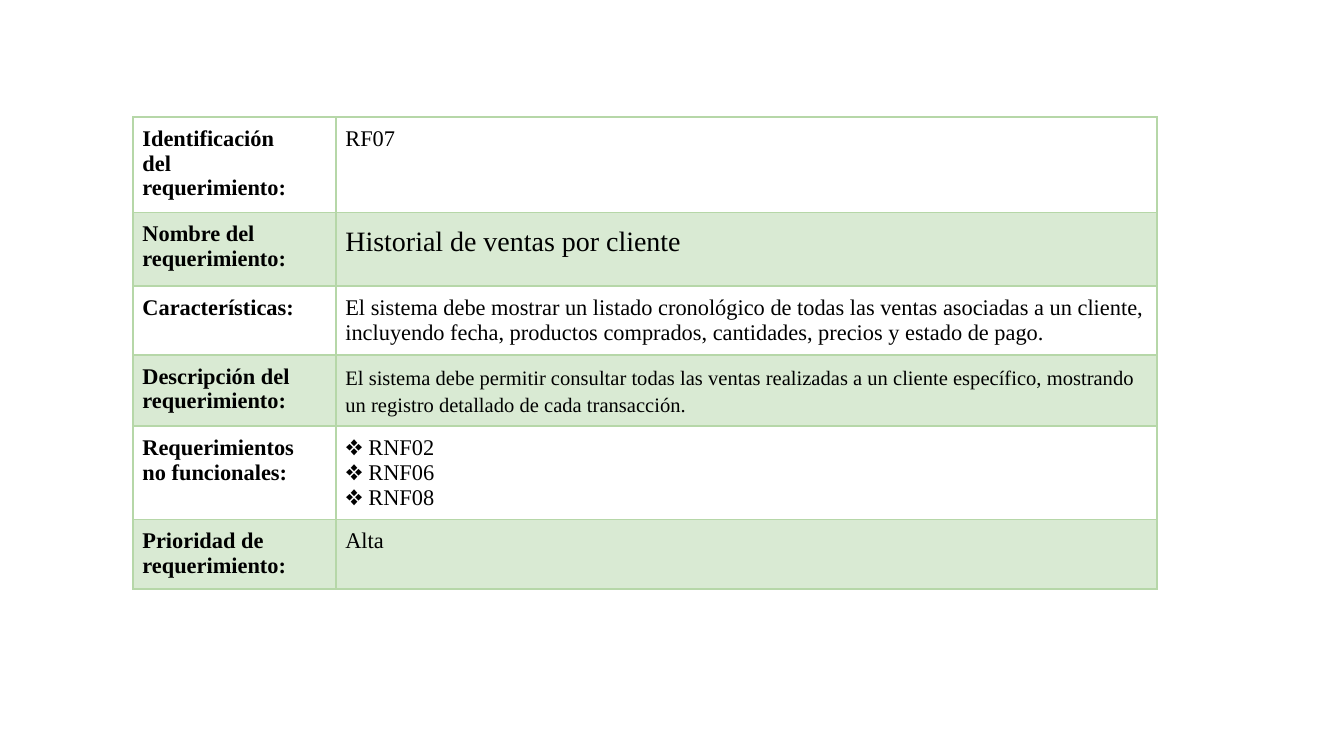
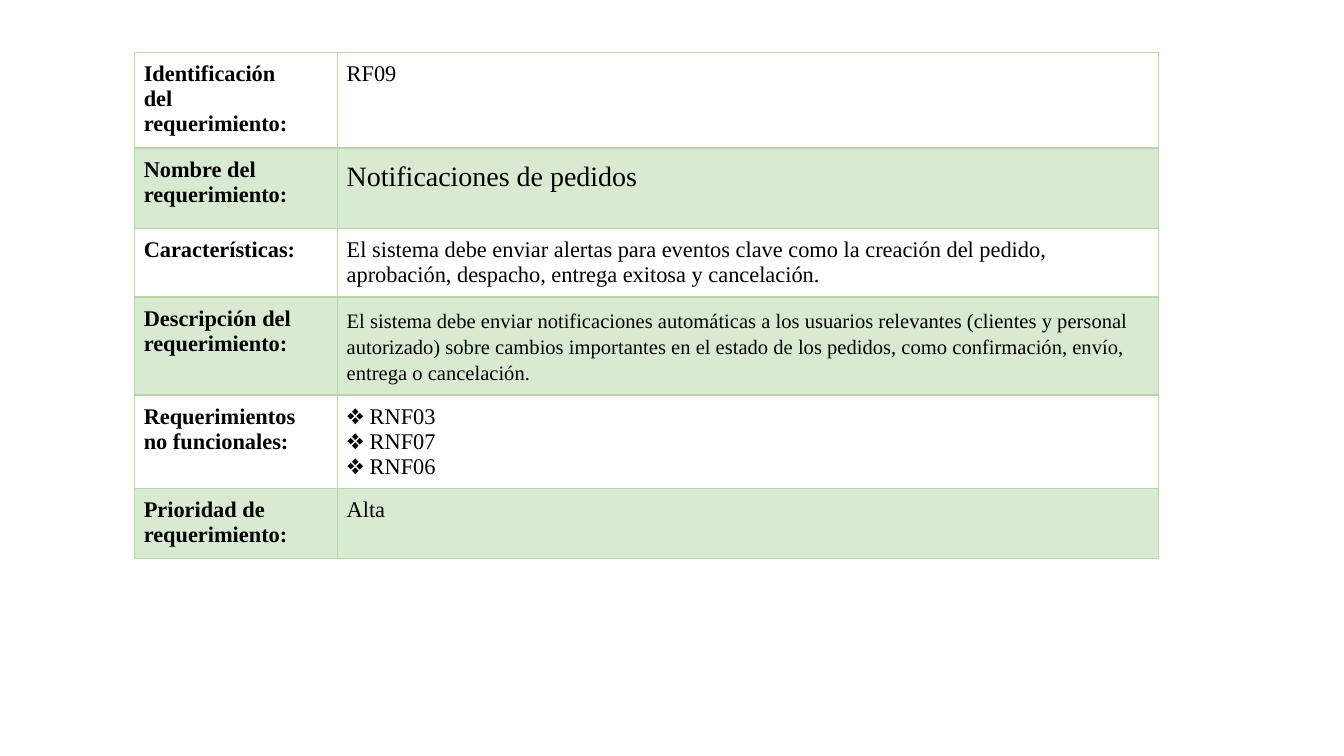
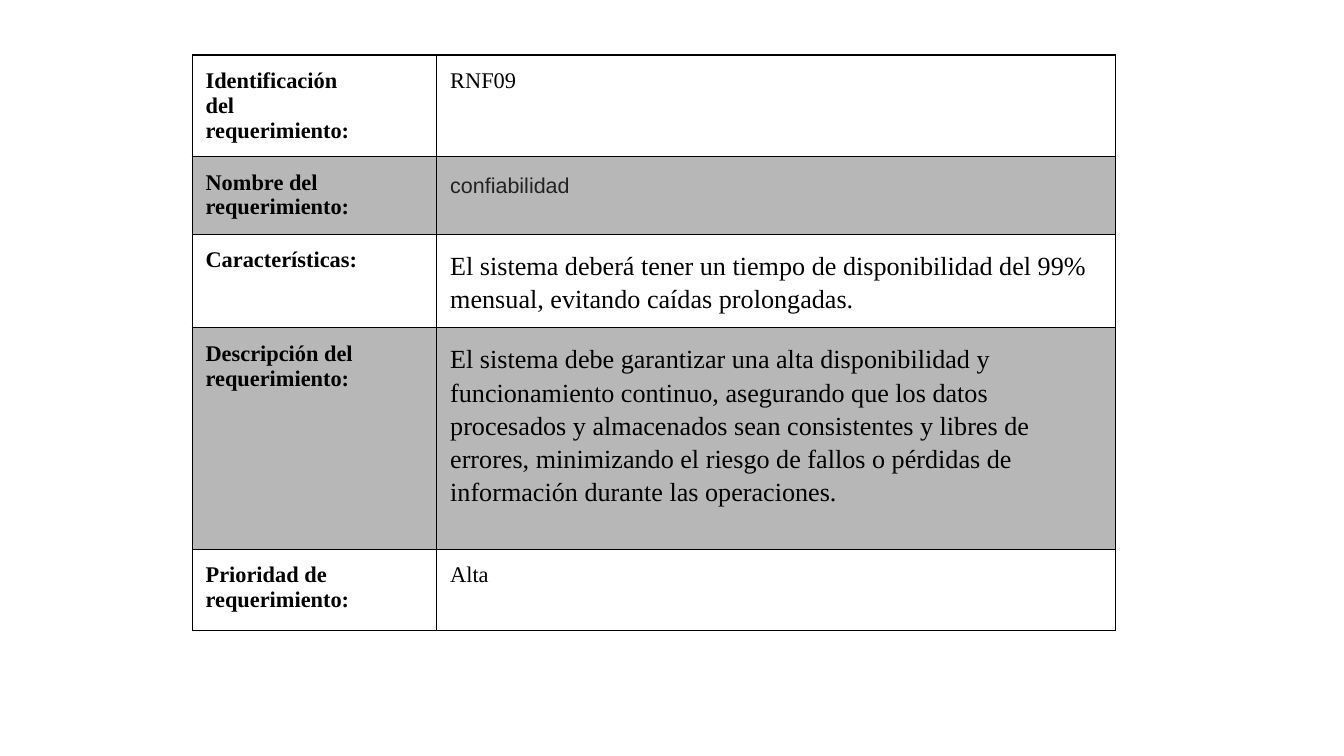
from dataclasses import dataclass

from lxml.etree import SubElement
from pptx import Presentation
from pptx.dml.color import RGBColor
from pptx.oxml.ns import qn
from pptx.util import Inches, Pt

WIDE, HIGH = Inches(10), Inches(5.625)
UNIT = WIDE / 100


@dataclass(frozen=True)
class Theme:
    serif: str = "Times New Roman"
    sans: str = "Arial"
    ink: str = "000000"
    soft: str = "222222"
    green: str = "D9EAD3"
    leaf: str = "B6D7A8"
    gray: str = "B7B7B7"
    base: float = 12
    small: float = 11
    name: float = 15
    large: float = 14
    note: float = 11.5
    loose: float = 1.15


@dataclass(frozen=True)
class Style:
    band: str
    edge: str
    line: float
    pad: float
    cols: tuple


THEME = Theme()
LEAFY = Style(THEME.green, THEME.leaf, 1, 0.7, (15.1, 61.1))
PLAIN = Style(THEME.gray, THEME.ink, 0.75, 1, (18.2, 50.5))

CODE = "Identificación\ndel\nrequerimiento:"
NAME = "Nombre del\nrequerimiento:"
TRAITS = "Características:"
ABOUT = "Descripción del\nrequerimiento:"
NEEDS = "Requerimientos\nno funcionales:"
RANK = "Prioridad de\nrequerimiento:"


def span(size):
    return round(size * UNIT)


def write(cell, text, size=THEME.base, face=THEME.serif, ink=THEME.ink,
          bold=False, lead=None):
    cell.text = text
    for para in cell.text_frame.paragraphs:
        para.line_spacing = lead
        for run in para.runs:
            font = run.font
            font.size, font.name, font.bold = Pt(size), face, bold
            font.color.rgb = RGBColor.from_string(ink)


def frame(cell, style):
    props = cell._tc.get_or_add_tcPr()
    for side in ("lnL", "lnR", "lnT", "lnB"):
        line = SubElement(props, qn(f"a:{side}"), w=str(Pt(style.line)))
        fill = SubElement(line, qn("a:solidFill"))
        SubElement(fill, qn("a:srgbClr"), val=style.edge)


def paint(cell, style, band):
    frame(cell, style)
    if band:
        cell.fill.solid()
        cell.fill.fore_color.rgb = RGBColor.from_string(style.band)
    else:
        cell.fill.background()
    pad = span(style.pad)
    cell.margin_left = cell.margin_right = pad
    cell.margin_top = cell.margin_bottom = pad


def sheet(deck, left, top, style, rows):
    slide = deck.slides.add_slide(deck.slide_layouts[6])
    wide, high = sum(style.cols), sum(row[0] for row in rows)
    table = slide.shapes.add_table(
        len(rows), len(style.cols), span(left), span(top), span(wide), span(high)
    ).table
    table.first_row = table.horz_banding = False
    for col, size in zip(table.columns, style.cols):
        col.width = span(size)
    for spot, (tall, label, text, form) in enumerate(rows):
        table.rows[spot].height = span(tall)
        head, body = table.cell(spot, 0), table.cell(spot, 1)
        for cell in (head, body):
            paint(cell, style, spot % 2 == 1)
        write(head, label, bold=True)
        write(body, text, **form)


def main():
    deck = Presentation()
    deck.slide_width, deck.slide_height = WIDE, HIGH
    title = {"size": THEME.name, "lead": THEME.loose}
    small = {"size": THEME.small, "lead": THEME.loose}
    large = {"size": THEME.large, "lead": THEME.loose}
    note = {"size": THEME.note, "face": THEME.sans, "ink": THEME.soft,
            "lead": THEME.loose}

    sheet(deck, 9.9, 8.7, LEAFY, [
        (7.1, CODE, "RF07", {}),
        (5.5, NAME, "Historial de ventas por cliente", title),
        (5.1, TRAITS, "El sistema debe mostrar un listado cronológico de todas las "
         "ventas asociadas a un cliente, incluyendo fecha, productos comprados, "
         "cantidades, precios y estado de pago.", {}),
        (5.3, ABOUT, "El sistema debe permitir consultar todas las ventas realizadas "
         "a un cliente específico, mostrando un registro detallado de cada "
         "transacción.", small),
        (6.9, NEEDS, "❖ RNF02\n❖ RNF06\n❖ RNF08", {}),
        (5.2, RANK, "Alta", {}),
    ])
    sheet(deck, 10, 3.9, LEAFY, [
        (7.1, CODE, "RF09", {}),
        (6, NAME, "Notificaciones de pedidos", title),
        (5.1, TRAITS, "El sistema debe enviar alertas para eventos clave como la "
         "creación del pedido, aprobación, despacho, entrega exitosa y "
         "cancelación.", {}),
        (7.3, ABOUT, "El sistema debe enviar notificaciones automáticas a los "
         "usuarios relevantes (clientes y personal autorizado) sobre cambios "
         "importantes en el estado de los pedidos, como confirmación, envío, "
         "entrega o cancelación.", small),
        (6.9, NEEDS, "❖ RNF03\n❖ RNF07\n❖ RNF06", {}),
        (5.2, RANK, "Alta", {}),
    ])
    sheet(deck, 14.3, 4.1, PLAIN, [
        (7.5, CODE, "RNF09", {}),
        (5.8, NAME, "confiabilidad", note),
        (6.9, TRAITS, "El sistema deberá tener un tiempo de disponibilidad del 99% "
         "mensual, evitando caídas prolongadas.", large),
        (16.5, ABOUT, "El sistema debe garantizar una alta disponibilidad y "
         "funcionamiento continuo, asegurando que los datos procesados y "
         "almacenados sean consistentes y libres de errores, minimizando el riesgo "
         "de fallos o pérdidas de información durante las operaciones.", large),
        (6, RANK, "Alta", {}),
    ])
    deck.save("out.pptx")


if __name__ == "__main__":
    main()
